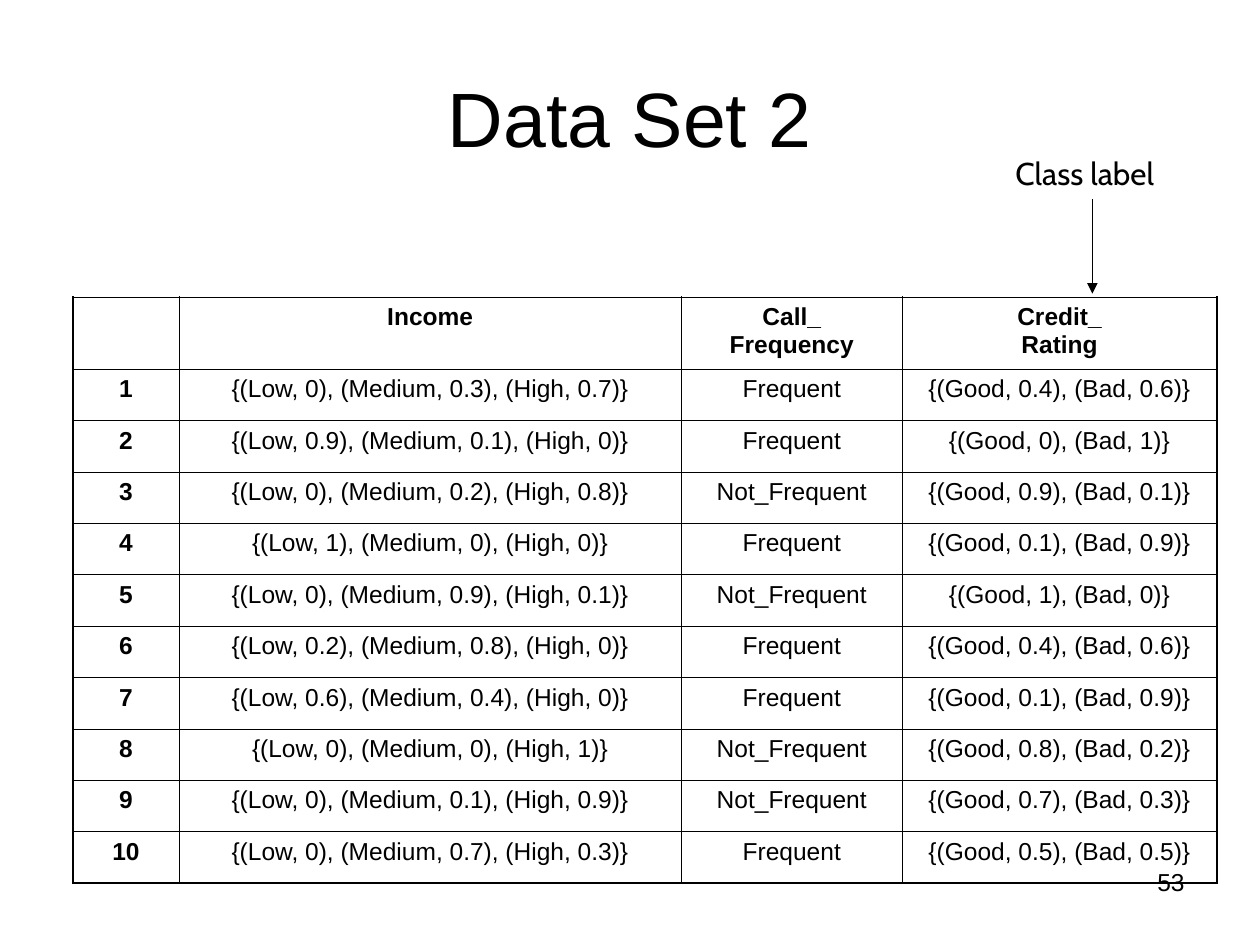
from dataclasses import dataclass

from lxml import etree
from pptx import Presentation
from pptx import util as u
from pptx.dml.color import RGBColor
from pptx.enum import shapes, text
from pptx.oxml import ns

HEADINGS = ("", "Income", "Call_\vFrequency", "Credit_\vRating")
RECORDS = (
    ((0, 0.3, 0.7), "Frequent", (0.4, 0.6)),
    ((0.9, 0.1, 0), "Frequent", (0, 1)),
    ((0, 0.2, 0.8), "Not_Frequent", (0.9, 0.1)),
    ((1, 0, 0), "Frequent", (0.1, 0.9)),
    ((0, 0.9, 0.1), "Not_Frequent", (1, 0)),
    ((0.2, 0.8, 0), "Frequent", (0.4, 0.6)),
    ((0.6, 0.4, 0), "Frequent", (0.1, 0.9)),
    ((0, 0, 1), "Not_Frequent", (0.8, 0.2)),
    ((0, 0.1, 0.9), "Not_Frequent", (0.7, 0.3)),
    ((0, 0.7, 0.3), "Frequent", (0.5, 0.5)),
)


@dataclass(frozen=True)
class Theme:
    """Colours, fonts, type sizes and line widths of the slide."""
    ink: RGBColor = RGBColor(0, 0, 0)
    font: str = "Arial"
    label_font: str = "Cabin"
    title: int = 44
    label: int = 18
    body: int = 14
    outer: float = 1.08
    inner: float = 0.45
    arrow: float = 0.75


T = Theme()


@dataclass(frozen=True)
class Box:
    """A region of the slide, in inches."""
    x: float
    y: float
    w: float
    h: float

    def emu(self):
        """Return left, top, width and height as lengths."""
        return [u.Inches(v) for v in (self.x, self.y, self.w, self.h)]


def write(tf, content, size, align, font=T.font, bold=False):
    """Fill a text frame with one formatted paragraph."""
    tf.text = content
    p = tf.paragraphs[0]
    p.alignment = align
    p.font.name, p.font.size, p.font.bold = font, u.Pt(size), bold
    p.font.color.rgb = T.ink


def fuzzy(names, weights):
    """Format a fuzzy set as name and weight pairs."""
    pairs = (f"({name}, {weight})" for name, weight in zip(names, weights))
    return "{" + ", ".join(pairs) + "}"


def add_border(cell, side, width):
    """Draw one solid side of a table cell."""
    ln = etree.SubElement(cell._tc.get_or_add_tcPr(), ns.qn(f"a:ln{side}"), w=str(u.Pt(width)))
    fill = etree.SubElement(ln, ns.qn("a:solidFill"))
    etree.SubElement(fill, ns.qn("a:srgbClr"), val=str(T.ink))


def add_title(s, box, content):
    """Place and format the title placeholder."""
    sp = s.shapes.title
    sp.left, sp.top, sp.width, sp.height = box.emu()
    sp.text_frame.vertical_anchor = text.MSO_ANCHOR.MIDDLE
    write(sp.text_frame, content, T.title, text.PP_ALIGN.CENTER)


def add_data_table(s, box, widths, header_height):
    """Draw the numbered records under their headings."""
    rows = [HEADINGS]
    for number, (income, calls, credit) in enumerate(RECORDS, 1):
        rows.append((str(number), fuzzy(("Low", "Medium", "High"), income), calls,
                     fuzzy(("Good", "Bad"), credit)))
    table = s.shapes.add_table(len(rows), len(widths), *box.emu()).table
    table.first_row = table.horz_banding = False
    for column, width in zip(table.columns, widths):
        column.width = u.Inches(width)
    row_height = (box.h - header_height) / len(RECORDS)
    last_row, last_col = len(rows) - 1, len(widths) - 1
    for i, row in enumerate(rows):
        table.rows[i].height = u.Inches(row_height if i else header_height)
        for j, content in enumerate(row):
            cell = table.cell(i, j)
            write(cell.text_frame, content, T.body, text.PP_ALIGN.CENTER, bold=i == 0 or j == 0)
            edges = {"L": j == 0, "R": j == last_col, "T": i == 0, "B": i == last_row}
            for side, is_outer in edges.items():
                add_border(cell, side, T.outer if is_outer else T.inner)
            cell.fill.background()


def add_class_label(s, box, label_height):
    """Write the class label with an arrow down to its column."""
    sp = s.shapes.add_textbox(*Box(box.x, box.y, box.w, label_height).emu())
    sp.text_frame.word_wrap = False
    write(sp.text_frame, "Class label", T.label, text.PP_ALIGN.LEFT, T.label_font)
    x = u.Inches(box.x + box.w / 2)
    arrow = s.shapes.add_connector(
        shapes.MSO_CONNECTOR.STRAIGHT, x, u.Inches(box.y + label_height + 0.01),
        x, u.Inches(box.y + box.h))
    arrow.line.color.rgb = T.ink
    arrow.line.width = u.Pt(T.arrow)
    etree.SubElement(arrow.line._get_or_add_ln(), ns.qn("a:tailEnd"), type="triangle")
    etree.SubElement(arrow._element.spPr, ns.qn("a:effectLst"))


def add_page_number(s, box, number):
    """Write the page number at the lower right."""
    sp = s.shapes.add_textbox(*box.emu())
    sp.text_frame.word_wrap = True
    write(sp.text_frame, str(number), T.body, text.PP_ALIGN.RIGHT)


def main():
    """Build and save the slide."""
    prs = Presentation()
    prs.slide_width, prs.slide_height = u.Inches(10), u.Inches(7.5)
    s = prs.slides.add_slide(prs.slide_layouts.get_by_name("Title Only"))
    add_title(s, Box(0.5, 0.3, 9, 1.25), "Data Set 2")
    add_data_table(s, Box(0.58, 2.36, 9.08, 4.65), (0.84, 3.99, 1.75, 2.5), 0.57)
    add_class_label(s, Box(7.96, 1.17, 1.42, 1.16), 0.4)
    add_page_number(s, Box(7.17, 6.83, 2.33, 0.52), 53)
    prs.save("out.pptx")


if __name__ == "__main__":
    main()
